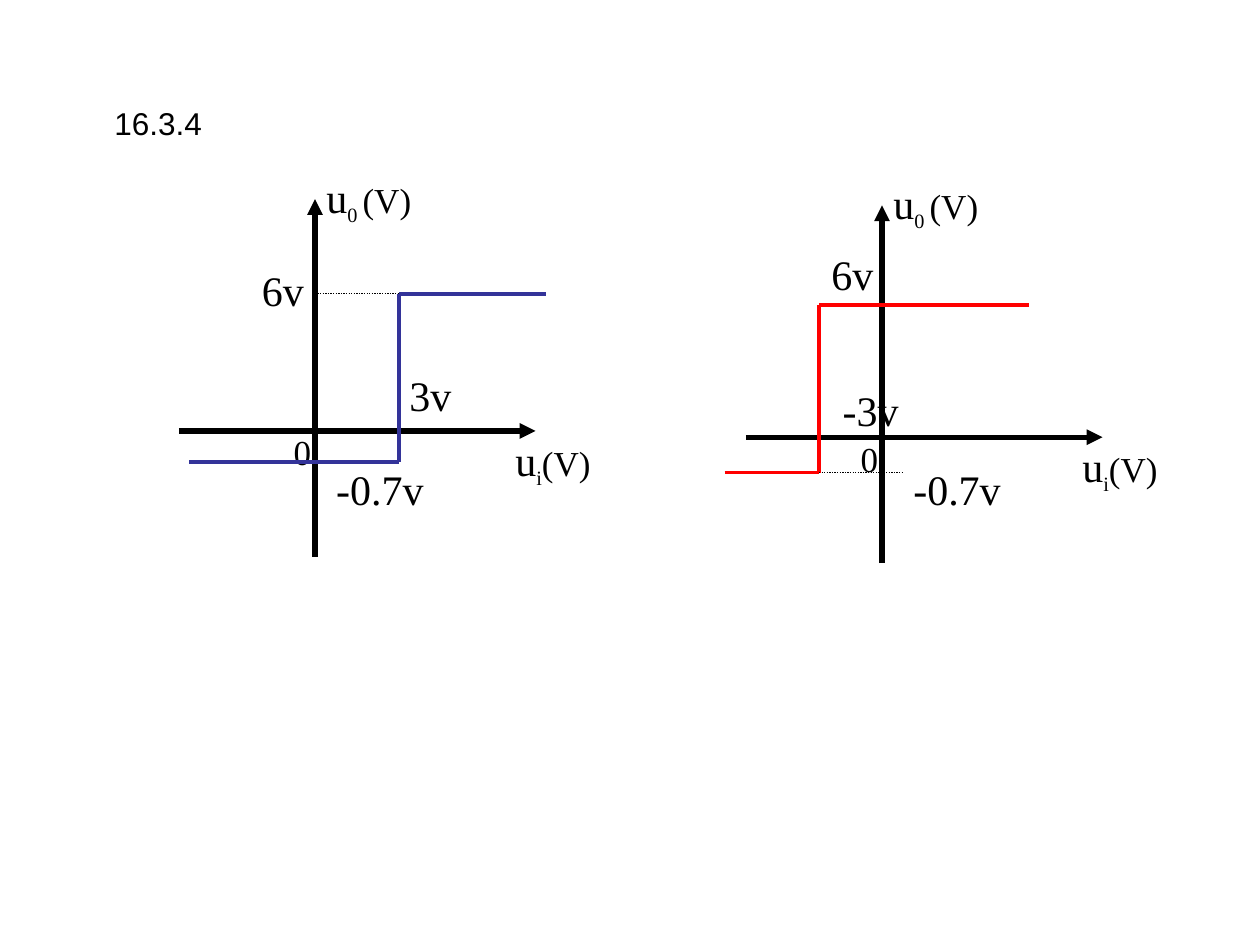
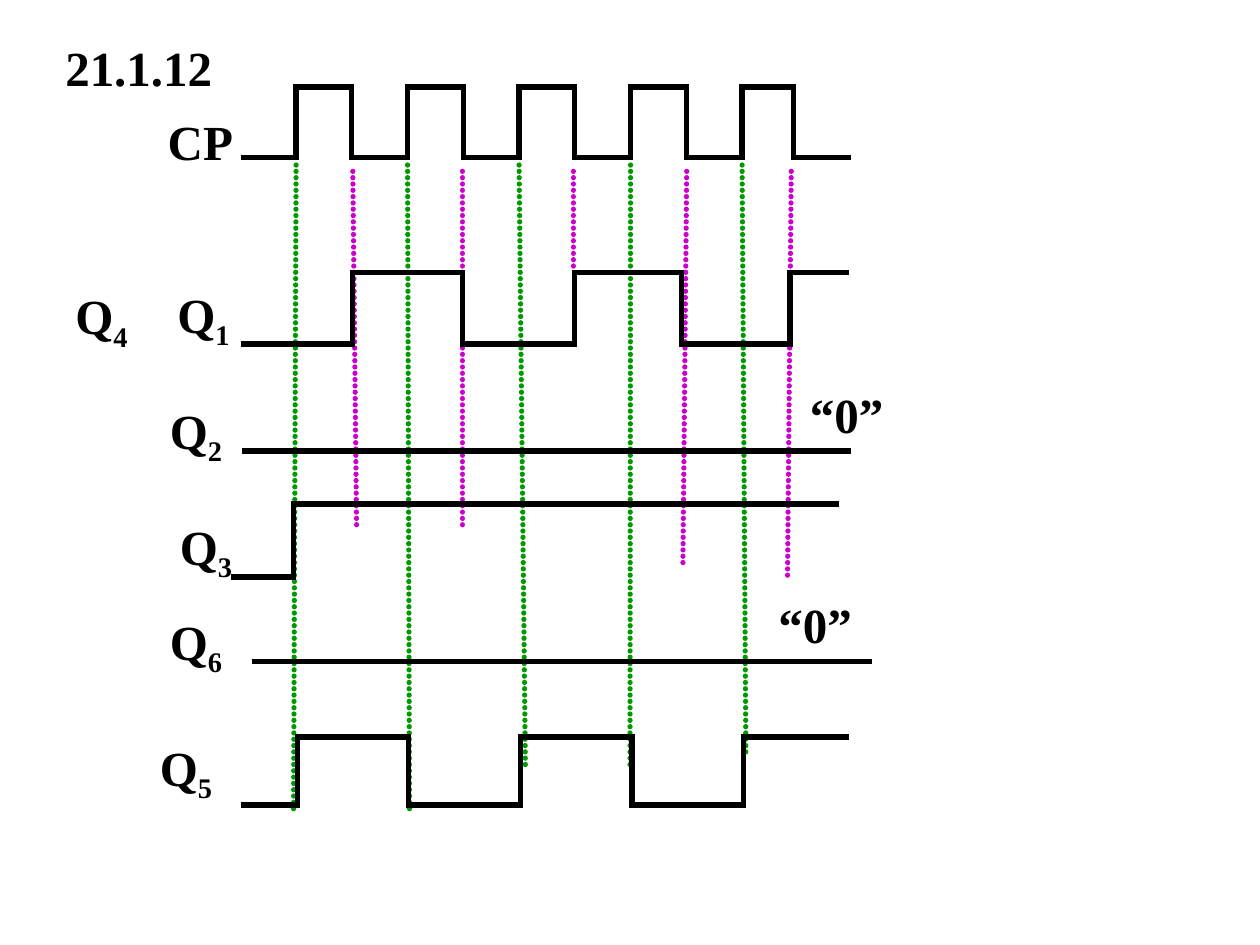
from itertools import pairwise

from lxml import etree
from pptx import Presentation
from pptx.dml.color import RGBColor
from pptx.enum import dml, shapes, text
from pptx.oxml.ns import qn
from pptx.util import Inches, Pt

BLACK = RGBColor(0x00, 0x00, 0x00)
RED = RGBColor(0xFF, 0x00, 0x00)
BLUE = RGBColor(0x33, 0x33, 0x99)
GREEN = RGBColor(0x00, 0x99, 0x00)
PURPLE = RGBColor(0xCC, 0x00, 0xCC)
SERIF, SANS = "Times New Roman", "Arial"

# The grid has 10 columns and 7.5 rows, each one inch.
COLS, ROWS = 10, 7.5
SLACK = 0.06  # spare width that keeps a label on one line


def line(slide, start, end, color=BLACK, width=3, dots=False, beads=False,
         arrow=False, cap=None):
    """Draw a line; beads are round dots set close together."""
    ends = [Inches(v) for v in (*start, *end)]
    rule = slide.shapes.add_connector(shapes.MSO_CONNECTOR.STRAIGHT, *ends)
    rule.line.color.rgb = color
    rule.line.width = Pt(width)
    if dots:
        rule.line.dash_style = dml.MSO_LINE.ROUND_DOT
    ln = rule.line._get_or_add_ln()
    if beads:
        cap = "rnd"
        dash = etree.SubElement(ln, qn("a:custDash"))
        etree.SubElement(dash, qn("a:ds"), d="100000", sp="20000")
    if cap:
        ln.set("cap", cap)
    if arrow:
        etree.SubElement(ln, qn("a:tailEnd"), type="triangle")
    etree.SubElement(rule._element.spPr, qn("a:effectLst"))


def label(slide, spot, size, parts, font=SERIF, pad=True,
          bold=False, middle=False, center=False):
    """Put a box at spot (left, top); parts are (text, points, is subscript)."""
    box = slide.shapes.add_textbox(*(Inches(v) for v in (*spot, *size)))
    frame = box.text_frame
    frame.word_wrap = True
    frame.auto_size = text.MSO_AUTO_SIZE.SHAPE_TO_FIT_TEXT
    if not pad:
        frame.margin_left = frame.margin_right = 0
        frame.margin_top = frame.margin_bottom = 0
    if middle:
        frame.vertical_anchor = text.MSO_ANCHOR.MIDDLE
    para = frame.paragraphs[0]
    if center:
        para.alignment = text.PP_ALIGN.CENTER
    for words, points, sub in parts:
        run = para.add_run()
        run.text = words
        run.font.name = font
        run.font.size = Pt(points)
        run.font.bold = bold
        run.font.color.rgb = BLACK
        if sub:
            run.font._element.set("baseline", "-25000")


def graph(slide, origin, color, curve, dots, marks):
    """Draw axes, a step curve and its marks, all relative to the origin."""
    def at(x, y):
        return origin[0] + x, origin[1] + y

    line(slide, at(-1.08, 0), at(1.75, 0), arrow=True)
    line(slide, at(0, 1), at(0, -1.84), arrow=True)
    label(slide, at(-0.17, 0), (0.14 + SLACK, 0.33), [("0", 20, False)], pad=False)
    for x, y, wide, sub in ((1.59, 0.03, 0.6, "i"), (0.09, -2.06, 0.67, "0 ")):
        parts = [("u", 24, False), (sub, 20, True), ("(V)", 20, False)]
        label(slide, at(x, y), (wide + SLACK, 0.44), parts, pad=False)

    left, step, right, low, high = curve
    bends = [(left, low), (step, low), (step, high), (right, high)]
    for start, end in pairwise(bends):
        line(slide, at(*start), at(*end), color, 2.25)
    line(slide, at(*dots[0]), at(*dots[1]), width=0.75, dots=True)
    for words, x, y, wide in marks:
        label(slide, at(x, y), (wide + SLACK, 0.5), [(words, 24, False)])


def curves(slide):
    label(slide, (0.81, 0.78), (0.89 + SLACK, 0.4), [("16.3.4", 18, False)], SANS)
    graph(slide, (7, 3.47), RED, (-1.25, -0.5, 1.17, 0.28, -1.05),
          ((-0.5, 0.28), (0.17, 0.28)),
          [("6v", -0.5, -1.55, 0.53), ("-3v", -0.41, -0.47, 0.64),
           ("-0.7v", 0.15, 0.16, 0.89)])
    graph(slide, (2.5, 3.42), BLUE, (-1, 0.67, 1.83, 0.25, -1.09),
          ((0, -1.09), (0.67, -1.09)),
          [("6v", -0.52, -1.37, 0.53), ("3v", 0.65, -0.54, 0.53),
           ("-0.7v", 0.07, 0.21, 0.89)])


def wave(slide, left, right, low, high, edges=()):
    """Draw a signal that starts low and flips at each edge."""
    bends, level = [(left, low)], low
    for edge in edges:
        bends.append((edge, level))
        level = high if level == low else low
        bends.append((edge, level))
    for start, end in pairwise([*bends, (right, level)]):
        upright = start[0] == end[0]
        line(slide, start, end, cap="sq" if upright else None)


def name(slide, spot, words, sub="", wide=1.26, center=False):
    parts = [(words, 28, False)] + ([(sub, 28, True)] if sub else [])
    label(slide, spot, (wide, 0.63 if sub else 0.57), parts,
          bold=True, middle=True, center=center)


def timing(slide):
    ticks = [2.35 + 3.54 / 8 * k for k in range(9)] + [6.3]
    falls = [2.8, 3.67, 4.55, 5.45, 6.28]
    wave(slide, 1.91, 6.75, 1.25, 0.69, ticks)

    fall_ends = [(2.83, 4.17), (3.67, 4.17), (4.55, 2.15), (5.42, 4.5), (6.25, 4.58)]
    rise_ends = [(2.33, 6.42), (3.25, 6.42), (4.17, 6.08), (5, 6.08), (5.92, 6)]
    for top, color, tops, ends in ((1.36, PURPLE, falls, fall_ends),
                                   (1.31, GREEN, ticks[::2], rise_ends)):
        for x, end in zip(tops, ends):
            line(slide, (x, top), end, color, beads=True)

    wave(slide, 1.91, 6.74, 2.73, 2.16, [2.8, 3.67, 4.56, 5.41, 6.27])
    wave(slide, 1.92, 6.75, 3.58, 3.58)
    wave(slide, 1.83, 6.66, 4.58, 4, [2.33])
    wave(slide, 2, 6.92, 5.25, 5.25)
    wave(slide, 1.91, 6.74, 6.39, 5.85, [x + 0.01 for x in ticks[::2]])

    name(slide, (0.42, 0.25), "21.1.12", wide=1.75)
    name(slide, (0.8, 0.83), "CP", wide=1.58, center=True)
    for sub, x, y in (("1", 1.31, 2.21), ("4", 0.5, 2.22), ("2", 1.25, 3.13),
                      ("3", 1.33, 4.05), ("6", 1.25, 4.8), ("5", 1.17, 5.8)):
        name(slide, (x, y), "Q", sub)
    for spot in ((6.33, 3), (6.08, 4.67)):
        name(slide, spot, "“0”")


def main():
    deck = Presentation()
    deck.slide_width, deck.slide_height = Inches(COLS), Inches(ROWS)
    for fill in (curves, timing):
        fill(deck.slides.add_slide(deck.slide_layouts[6]))
    deck.save("out.pptx")


if __name__ == "__main__":
    main()
